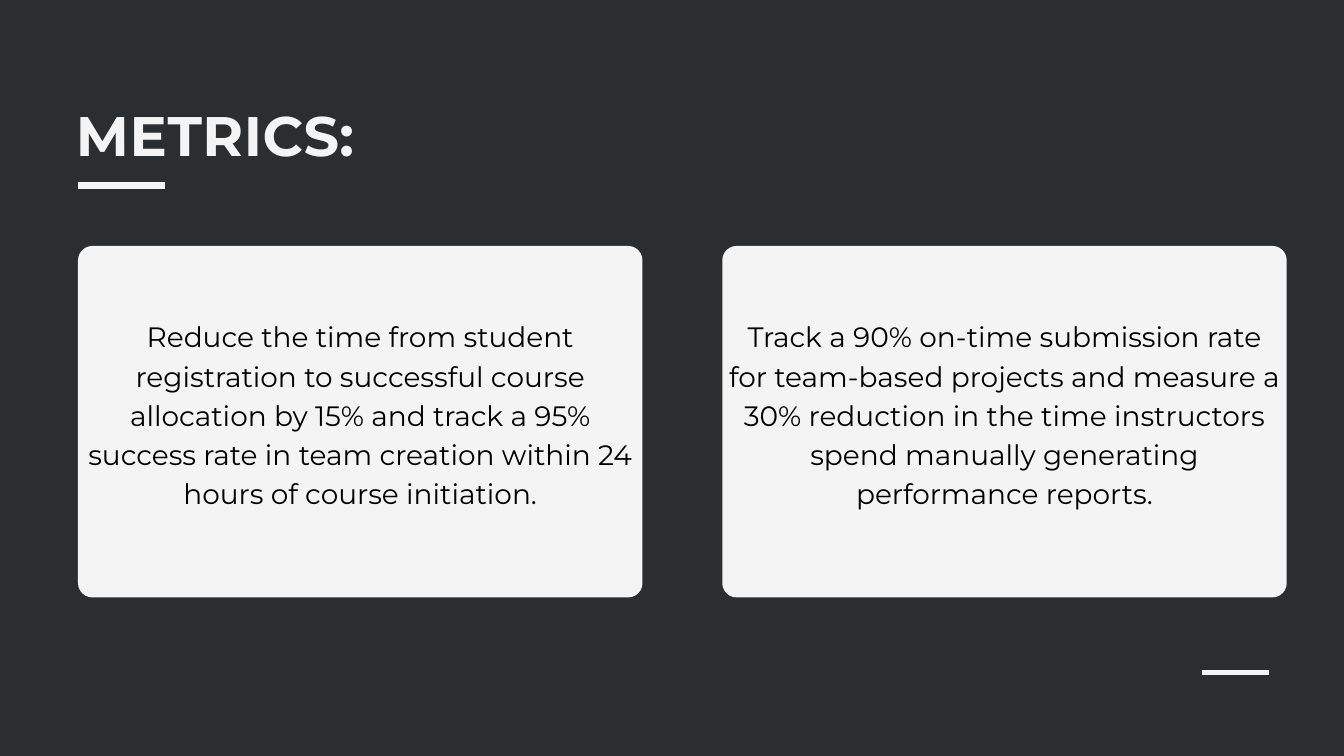
"""Build the Metrics slide with two goal cards."""
from lxml import etree
from pptx import Presentation
from pptx.dml.color import RGBColor
from pptx.enum.shapes import MSO_CONNECTOR, MSO_SHAPE
from pptx.enum.text import MSO_ANCHOR, PP_ALIGN
from pptx.oxml.ns import qn
from pptx.util import Pt

STRAIGHT = MSO_CONNECTOR.STRAIGHT
ROUNDED = MSO_SHAPE.ROUNDED_RECTANGLE
TOP, MIDDLE = MSO_ANCHOR.TOP, MSO_ANCHOR.MIDDLE
LEFT, CENTER = PP_ALIGN.LEFT, PP_ALIGN.CENTER

COLORS = {"background": "2B2E31", "light": "F4F4F4", "body": "000000"}
FONT = "Montserrat"
CARD_LEFT, CARD_TOP, CARD_WIDTH, CARD_HEIGHT = 83.6, 263.5, 604.8, 376.6
CARD_STEP = 690.3
CORNER = 15.4
TEXT_RISE = 20.2

goals = [
    "Reduce the time from student registration to successful course allocation "
    "by 15% and track a 95% success rate in team creation within 24 hours of "
    "course initiation.",
    "Track a 90% on-time submission rate for team-based projects and measure a "
    "30% reduction in the time instructors spend manually generating "
    "performance reports.",
]
rules = [(83.6, 198.7, 92.9, 8.25), (1287.4, 720.7, 72, 6)]

title_format = {"size": Pt(59.6), "bold": True, "name": FONT}
goal_format = {"size": Pt(30), "bold": False, "name": FONT}


def add_text(text, box, inset, anchor, align, spacing, font_format, color):
    textbox = slide.shapes.add_textbox(*map(Pt, box))
    frame = textbox.text_frame
    frame.word_wrap = True
    frame.vertical_anchor = anchor
    for side in ("left", "top", "right", "bottom"):
        setattr(frame, f"margin_{side}", Pt(inset))
    paragraph = frame.paragraphs[0]
    paragraph.alignment = align
    paragraph.line_spacing = Pt(spacing)
    run = paragraph.add_run()
    run.text = text
    for attribute, value in font_format.items():
        setattr(run.font, attribute, value)
    run.font.color.rgb = RGBColor.from_string(COLORS[color])
    return run


prs = Presentation()
prs.slide_width, prs.slide_height = Pt(1440), Pt(810)
slide = prs.slides.add_slide(prs.slide_layouts[6])
slide.background.fill.solid()
slide.background.fill.fore_color.rgb = RGBColor.from_string(COLORS["background"])

for left, top, length, weight in rules:
    rule = slide.shapes.add_connector(
        STRAIGHT, Pt(left), Pt(top), Pt(left + length), Pt(top))
    rule.line.width = Pt(weight)
    rule.line.color.rgb = RGBColor.from_string(COLORS["light"])
    etree.SubElement(rule.line._get_or_add_ln().getparent(), qn("a:effectLst"))

title = add_text("METRICS:", (81.4, 120.2, 692.6, 62.6), 0, TOP, LEFT, 59.6,
                 title_format, "light")
title.font._element.set("spc", "60")

for index, goal in enumerate(goals):
    left = CARD_LEFT + index * CARD_STEP
    card = slide.shapes.add_shape(
        ROUNDED, Pt(left), Pt(CARD_TOP), Pt(CARD_WIDTH), Pt(CARD_HEIGHT))
    card.adjustments[0] = CORNER / CARD_HEIGHT
    card.shadow.inherit = False
    card.fill.solid()
    card.fill.fore_color.rgb = RGBColor.from_string(COLORS["light"])
    card.line.fill.background()
    text_box = (left, CARD_TOP - TEXT_RISE, CARD_WIDTH, CARD_HEIGHT + TEXT_RISE)
    add_text(goal, text_box, 4, MIDDLE, CENTER, 42, goal_format, "body")

prs.save("out.pptx")
